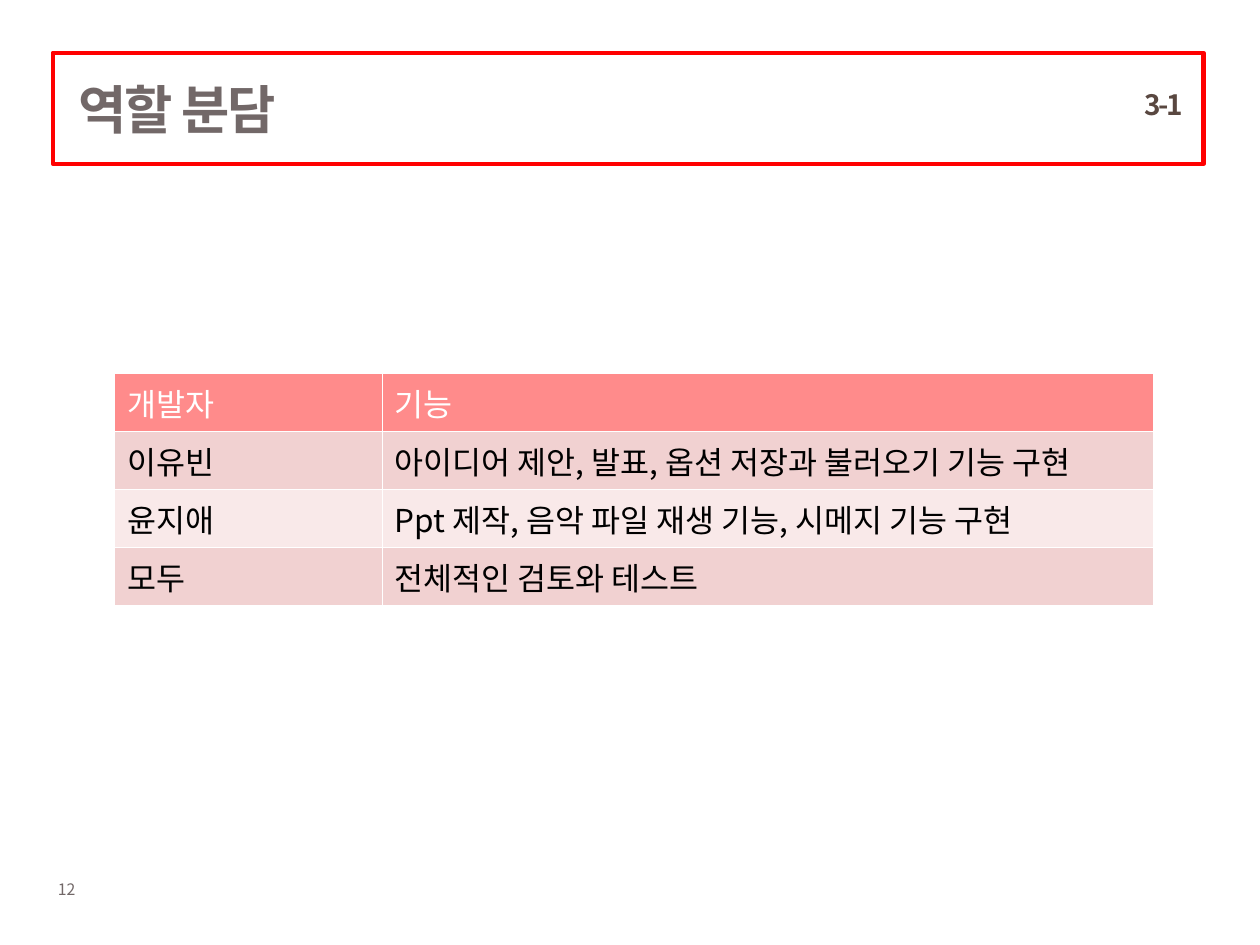
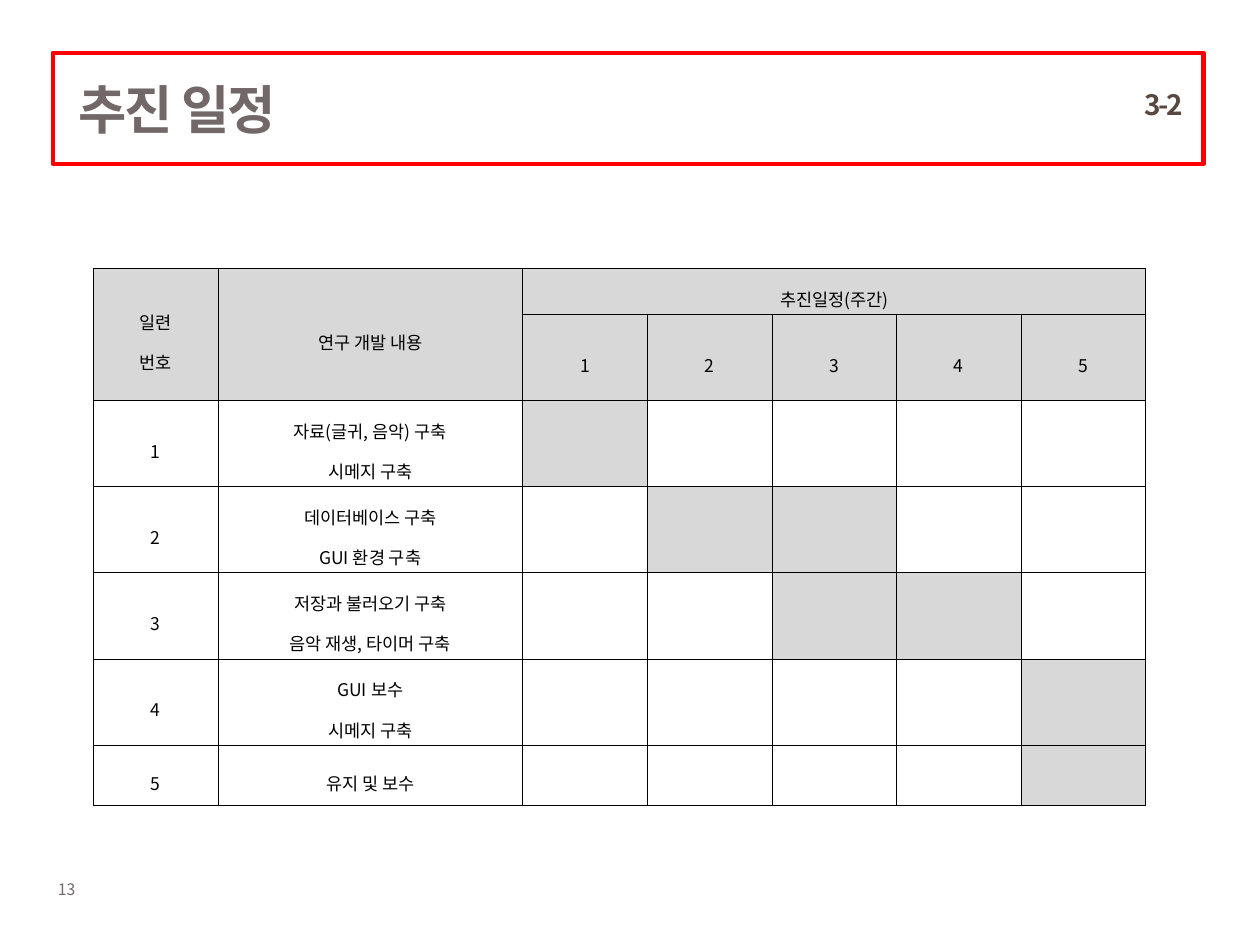
from dataclasses import dataclass

from lxml.etree import SubElement
from pptx import Presentation
from pptx.dml.color import RGBColor
from pptx.enum.shapes import MSO_SHAPE
from pptx.enum.text import MSO_ANCHOR as ANCHOR, PP_ALIGN as ALIGN
from pptx.oxml.ns import qn
from pptx.util import Pt

FONT = "Noto Sans CJK KR"
TITLE, NUMBER, FRAME = "726868", "594740", "FF0000"
BLACK, WHITE, GREY = "000000", "FFFFFF", "D8D8D8"
HEADER, BAND_DARK, BAND_LIGHT = "FF8B8B", "F1D1D1", "F9E9E9"


@dataclass(frozen=True)
class Box:
    left: float
    top: float
    width: float
    height: float

    def lengths(self) -> list:
        return [Pt(v) for v in (self.left, self.top, self.width, self.height)]


@dataclass(frozen=True)
class TextStyle:
    size: float
    color: str
    bold: bool = False
    tracking: float = 0
    align: ALIGN = ALIGN.LEFT
    anchor: ANCHOR = ANCHOR.TOP
    spacing: object = None


@dataclass(frozen=True)
class Grid:
    left: float
    top: float
    cols: list
    rows: list
    line_color: str
    line_width: float


PAGE_STYLE = TextStyle(9, TITLE)
TITLE_STYLE = TextStyle(30, TITLE, True, -1, anchor=ANCHOR.MIDDLE)
SECTION_STYLE = TextStyle(16, NUMBER, True, -1.5, ALIGN.RIGHT, spacing=Pt(56))
HEAD_STYLE = TextStyle(18, WHITE)
ROLE_STYLE = TextStyle(18, BLACK)
PLAN_STYLE = TextStyle(10, BLACK, align=ALIGN.CENTER, spacing=1.6)

ROLES = [
    ("개발자", "기능"),
    ("이유빈", "아이디어 제안, 발표, 옵션 저장과 불러오기 기능 구현"),
    ("윤지애", "Ppt 제작, 음악 파일 재생 기능, 시메지 기능 구현"),
    ("모두", "전체적인 검토와 테스트"),
]
# Each task with the weeks it takes
TASKS = [
    ("자료(글귀, 음악) 구축\n시메지 구축", {1}),
    ("데이터베이스 구축\nGUI 환경 구축", {2, 3}),
    ("저장과 불러오기 구축\n음악 재생, 타이머 구축", {3, 4}),
    ("GUI 보수\n시메지 구축", {5}),
    ("유지 및 보수", {5}),
]
WEEKS = range(1, 6)


def rgb(color: str) -> RGBColor:
    return RGBColor.from_string(color)


def write(tf, text: str, style: TextStyle) -> None:
    tf.text = text
    for p in tf.paragraphs:
        p.alignment = style.align
        if style.spacing:
            p.line_spacing = style.spacing
        for r in p.runs:
            r.font.size = Pt(style.size)
            r.font.bold = style.bold
            r.font.name = FONT
            r.font.color.rgb = rgb(style.color)
            rPr = r.font._element
            SubElement(rPr, qn("a:ea")).set("typeface", FONT)
            if style.tracking:
                rPr.set("spc", str(round(style.tracking * 100)))


def add_text(s, box: Box, text: str, style: TextStyle) -> None:
    tf = s.shapes.add_textbox(*box.lengths()).text_frame
    tf.word_wrap = True
    tf.vertical_anchor = style.anchor
    write(tf, text, style)


def add_borders(cell, color: str, width: float) -> None:
    tcPr = cell._tc.get_or_add_tcPr()
    for side in ("lnL", "lnR", "lnT", "lnB"):
        ln = SubElement(tcPr, qn(f"a:{side}"), w=str(Pt(width)))
        fill = SubElement(ln, qn("a:solidFill"))
        SubElement(fill, qn("a:srgbClr"), val=color)


def add_grid(s, grid: Grid):
    """Add an unstyled table with ruled, unfilled cells."""
    box = Box(grid.left, grid.top, sum(grid.cols), sum(grid.rows))
    table = s.shapes.add_table(len(grid.rows), len(grid.cols), *box.lengths()).table
    table.first_row = table.horz_banding = False
    for col, width in zip(table.columns, grid.cols):
        col.width = Pt(width)
    for row, height in zip(table.rows, grid.rows):
        row.height = Pt(height)
    for cell in table.iter_cells():
        add_borders(cell, grid.line_color, grid.line_width)
        cell.fill.background()
    return table


def shade(cell, color: str) -> None:
    cell.fill.solid()
    cell.fill.fore_color.rgb = rgb(color)


def add_base(prs, page: int, title: str, section: str):
    """Add a slide with page number, title and section number."""
    s = prs.slides.add_slide(prs.slide_layouts[6])
    add_text(s, Box(26, 499, 37.5, 18), str(page), PAGE_STYLE)
    add_text(s, Box(37.5, 16.5, 516, 91), title, TITLE_STYLE)
    add_text(s, Box(553.5, 9.5, 129.6, 85), section, SECTION_STYLE)
    return s


def add_frame(s) -> None:
    sp = s.shapes.add_shape(MSO_SHAPE.RECTANGLE, *Box(30.2, 30.2, 657.6, 63.4).lengths())
    sp.shadow.inherit = False
    sp.fill.background()
    sp.line.color.rgb = rgb(FRAME)
    sp.line.width = Pt(2.5)


def roles_slide(prs) -> None:
    s = add_base(prs, 12, "역할 분담", "3-1")
    table = add_grid(s, Grid(65.5, 213.4, [153, 441], [33.2] * len(ROLES), WHITE, 1))
    for i, row in enumerate(ROLES):
        color = HEADER if i == 0 else BAND_DARK if i % 2 else BAND_LIGHT
        for j, text in enumerate(row):
            cell = table.cell(i, j)
            shade(cell, color)
            write(cell.text_frame, text, HEAD_STYLE if i == 0 else ROLE_STYLE)
    add_frame(s)


def plan_slide(prs) -> None:
    s = add_base(prs, 13, "추진 일정", "3-2")
    cols = [71.2, 174.2] + [71.2] * len(WEEKS)
    rows = [26.4] + [49.2] * len(TASKS) + [34.6]
    table = add_grid(s, Grid(53.3, 153.3, cols, rows, BLACK, 0.28))

    def put(row: int, col: int, text: str) -> None:
        cell = table.cell(row, col)
        cell.margin_left = cell.margin_right = Pt(5)
        cell.margin_top = cell.margin_bottom = Pt(1.4)
        cell.vertical_anchor = ANCHOR.MIDDLE
        write(cell.text_frame, text, PLAN_STYLE)

    # Two header rows
    for row in (0, 1):
        for col in range(len(cols)):
            shade(table.cell(row, col), GREY)
    for col, text in enumerate(("일련\v번호", "연구 개발 내용")):
        table.cell(0, col).merge(table.cell(1, col))
        put(0, col, text)
    table.cell(0, 2).merge(table.cell(0, len(cols) - 1))
    put(0, 2, "추진일정(주간)")
    for week in WEEKS:
        put(1, week + 1, str(week))

    # Tasks with their weeks shaded
    for number, (task, weeks) in enumerate(TASKS, 1):
        put(number + 1, 0, str(number))
        put(number + 1, 1, task)
        for week in weeks:
            shade(table.cell(number + 1, week + 1), GREY)
    add_frame(s)


def main() -> None:
    prs = Presentation()
    prs.slide_width, prs.slide_height = Pt(720), Pt(540)
    roles_slide(prs)
    plan_slide(prs)
    prs.save("out.pptx")


if __name__ == "__main__":
    main()
